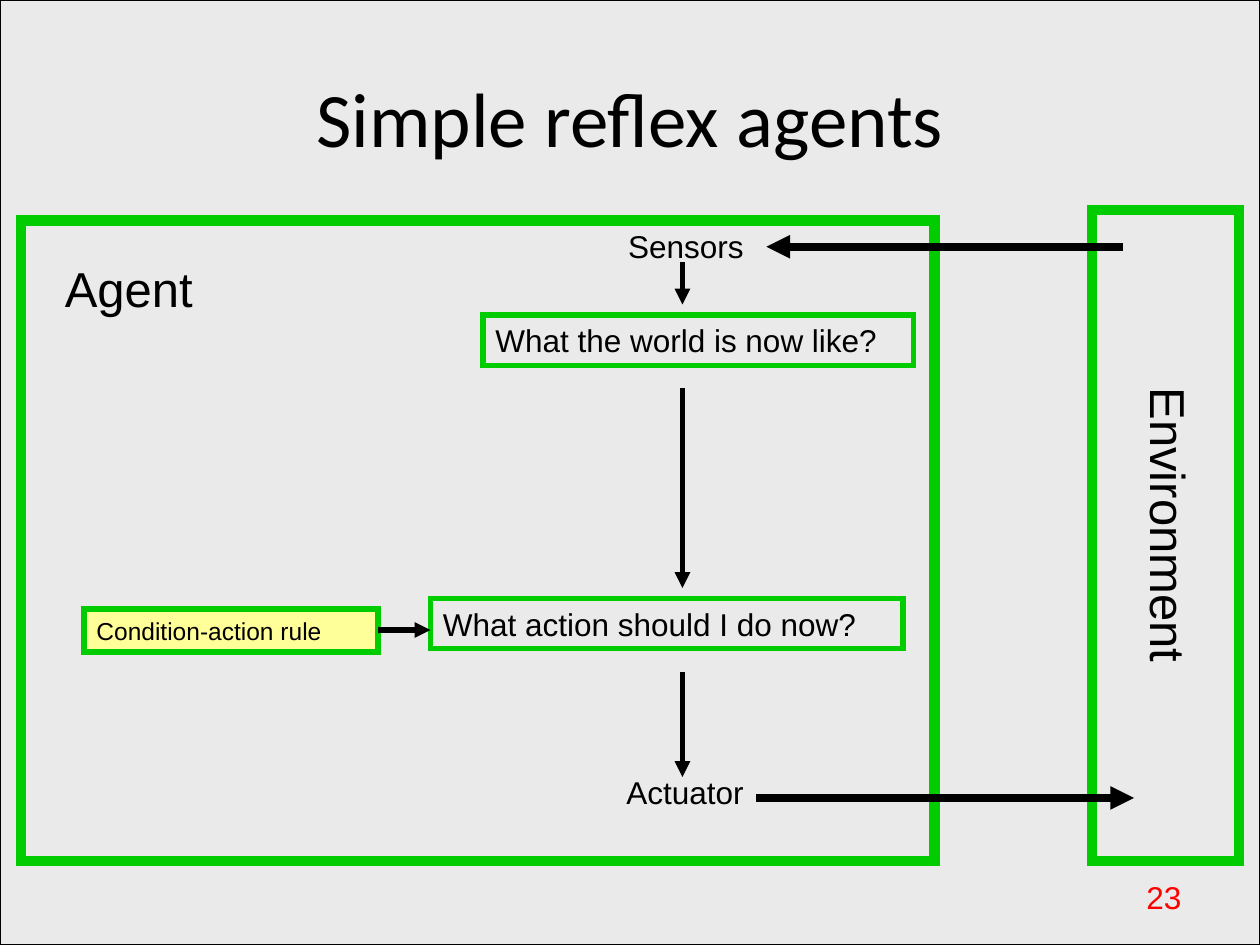
from lxml import etree
from pptx import Presentation
from pptx.dml.color import RGBColor
from pptx.enum import shapes, text
from pptx.oxml import ns
from pptx import util as u

BLACK, GREEN, RED = "000000", "00CC00", "FF0000"
GRAY, YELLOW = "EAEAEA", "FFFF99"
LEFT, CENTER, RIGHT = text.PP_ALIGN.LEFT, text.PP_ALIGN.CENTER, text.PP_ALIGN.RIGHT


def color(value):
    return RGBColor.from_string(value)


class Diagram:
    unit = u.Inches(1) / 12
    font = "Arial"

    def __init__(self, slide):
        self.slide = slide

    def grid(self, *cells):
        return [round(cell * self.unit) for cell in cells]

    def set_text(self, shape, words, size, align=LEFT, ink=BLACK, font=None):
        frame = shape.text_frame
        frame.word_wrap = True
        frame.vertical_anchor = text.MSO_ANCHOR.MIDDLE
        paragraph = frame.paragraphs[0]
        paragraph.text = words
        paragraph.alignment = align
        paragraph.font.size = u.Pt(size)
        paragraph.font.name = font or self.font
        paragraph.font.color.rgb = color(ink)

    def label(self, words, cells, size, align=LEFT, ink=BLACK, font=None, rotation=0):
        shape = self.slide.shapes.add_textbox(*self.grid(*cells))
        shape.rotation = rotation
        self.set_text(shape, words, size, align, ink, font)

    def box(self, cells, weight, fill=None, line=GREEN, words=None, size=18):
        shape = self.slide.shapes.add_shape(shapes.MSO_SHAPE.RECTANGLE, *self.grid(*cells))
        shape.shadow.inherit = False
        if fill:
            shape.fill.solid()
            shape.fill.fore_color.rgb = color(fill)
        else:
            shape.fill.background()
        shape.line.color.rgb = color(line)
        shape.line.width = u.Pt(weight)
        outline = shape._element.spPr.find(ns.qn("a:ln"))
        etree.SubElement(outline, ns.qn("a:miter"), lim="800000")
        if words:
            self.set_text(shape, words, size)

    def arrow(self, start, end, weight=3):
        connector = self.slide.shapes.add_connector(
            shapes.MSO_CONNECTOR.STRAIGHT, *self.grid(*start, *end))
        connector.line.color.rgb = color(BLACK)
        connector.line.width = u.Pt(weight)
        properties = connector._element.spPr
        etree.SubElement(properties.find(ns.qn("a:ln")), ns.qn("a:tailEnd"), type="triangle")
        etree.SubElement(properties, ns.qn("a:effectLst"))


def main():
    presentation = Presentation()
    presentation.slide_width = u.Inches(10)
    presentation.slide_height = u.Inches(7.5)
    diagram = Diagram(presentation.slides.add_slide(presentation.slide_layouts[6]))

    diagram.box((0, 0, 120, 90), 0.75, GRAY, BLACK)
    diagram.label("23", (108, 83, 8, 4.8), 18, ink=RED)
    diagram.label("Simple reflex agents", (6, 3.6, 108, 15), 44, CENTER, font="Calibri")

    diagram.box((2, 21, 87, 61), 6)
    diagram.box((104, 20, 14, 62), 6)
    diagram.label("Environment", (94.4, 46.6, 34, 6.8), 28, CENTER, rotation=90)
    diagram.label("Agent", (5, 24, 15, 6.8), 28)
    diagram.arrow((107, 23.5), (73, 23.5), 4.5)
    diagram.arrow((72, 76), (108, 76), 4.5)

    diagram.label("Sensors", (55, 21, 17, 4.8), 18, RIGHT)
    diagram.label("Actuator", (57, 73, 15, 4.8), 18, RIGHT)
    diagram.box((46, 30, 41, 4.8), 3, words="What the world is now like?")
    diagram.box((41, 57, 45, 4.8), 3, words="What action should I do now?")
    for top, bottom in ((64, 74), (25, 29), (37, 56)):
        diagram.arrow((65, top), (65, bottom))
    diagram.box((8, 58, 28, 4.1), 3, YELLOW, words="Condition-action rule", size=14)
    diagram.arrow((36, 60), (41, 60))

    presentation.save("out.pptx")


if __name__ == "__main__":
    main()
